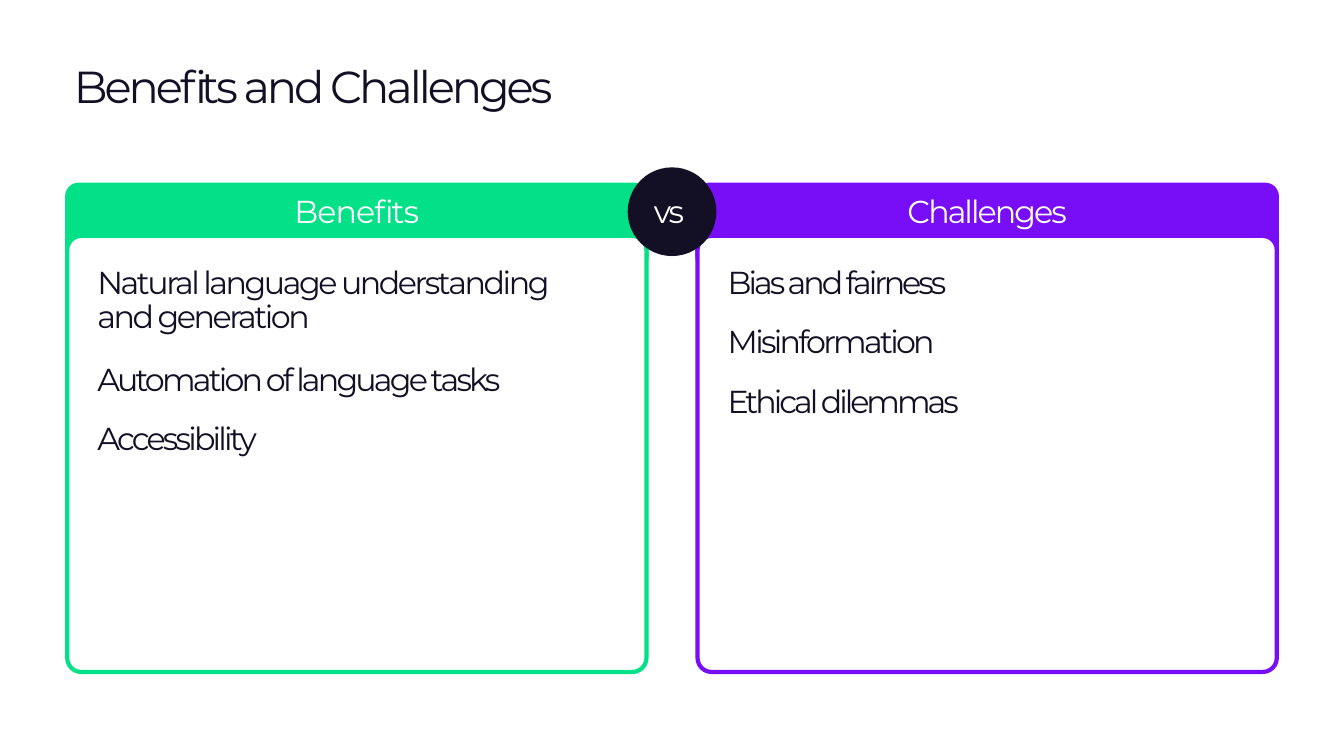
from pptx import Presentation
from pptx.dml.color import RGBColor
from pptx.enum.shapes import MSO_SHAPE as SHAPE
from pptx.enum.text import PP_ALIGN as ALIGN
from pptx.util import Inches, Pt

GREEN = RGBColor(0x02, 0xE0, 0x88)
PURPLE = RGBColor(0x77, 0x0E, 0xF7)
INK = RGBColor(0x13, 0x0F, 0x25)
WHITE = RGBColor(0xFF, 0xFF, 0xFF)

SLIDE_W, SLIDE_H = 20, 11.25
MARGIN = 1
PANEL_W, PANEL_TOP, PANEL_H = 8.62, 2.75, 7.25
HEADER_H, BODY_OFFSET = 1.25, 0.76
PAD = 0.45
BADGE = 1.32

# Each item: text, space before and letter spacing in points
BENEFITS = [
    ("Natural language understanding and generation", 40.5, -2.6),
    ("Automation of language tasks", 31.5, -3),
    ("Accessibility", 28, -3),
]
CHALLENGES = [
    ("Bias and fairness", 40.5, -3.2),
    ("Misinformation", 27.5, -2.9),
    ("Ethical dilemmas", 27.5, -3.2),
]


def add_filled(slide, kind, x, y, w, h, fill, line=None, radius=None):
    s = slide.shapes.add_shape(kind, Inches(x), Inches(y), Inches(w), Inches(h))
    s.shadow.inherit = False
    s.fill.solid()
    s.fill.fore_color.rgb = fill
    if line is None:
        s.line.fill.background()
    else:
        s.line.color.rgb = line
        s.line.width = Pt(4.5)
    if radius is not None:
        s.adjustments[0] = radius / min(w, h)
    return s


def add_text_frame(slide, x, y, w, h):
    tf = slide.shapes.add_textbox(Inches(x), Inches(y), Inches(w), Inches(h)).text_frame
    tf.word_wrap = True
    tf.margin_left = tf.margin_right = tf.margin_bottom = 0
    tf.margin_top = Inches(0.02)
    return tf


def write(p, text, color, spacing, size=34, align=ALIGN.LEFT):
    """Fill a paragraph; spacing is the letter spacing in points."""
    p.text = text
    p.alignment = align
    p.font.name = "Montserrat"
    p.font.size = Pt(size)
    p.font.color.rgb = color
    for r in p.runs:
        r._r.get_or_add_rPr().set("spc", str(round(spacing * 100)))


def add_title(slide, x, y, w, h):
    tf = add_text_frame(slide, x, y, w, h)
    write(tf.paragraphs[0], "Benefits and Challenges", INK, -3.3, size=48)


def add_panel(slide, x, y, w, h, color, heading, heading_spacing, items):
    add_filled(slide, SHAPE.ROUNDED_RECTANGLE, x, y, w, HEADER_H, color, color, 0.17)
    add_filled(slide, SHAPE.ROUNDED_RECTANGLE, x, y + BODY_OFFSET, w, h - BODY_OFFSET,
               WHITE, color, 0.21)

    text_w = w - 3 * PAD
    tf = add_text_frame(slide, x + PAD, y + 0.08, text_w, 3.93)
    p = tf.paragraphs[0]
    write(p, heading, WHITE, heading_spacing, align=ALIGN.CENTER)
    # Indent by the extra right padding so the heading centres on the panel
    p._p.get_or_add_pPr().set("marL", str(Inches(PAD)))
    for text, gap, spacing in items:
        p = tf.add_paragraph()
        write(p, text, INK, spacing)
        p.line_spacing = Pt(36)
        p.space_before = Pt(gap)


def add_badge(slide, cx, cy, size):
    add_filled(slide, SHAPE.OVAL, cx - size / 2, cy - size / 2, size, size, INK)
    tf = add_text_frame(slide, cx - 0.27, cy - 0.31, 0.54, 0.59)
    tf.word_wrap = False
    write(tf.paragraphs[0], "vs", WHITE, -2.2)


def main():
    prs = Presentation()
    prs.slide_width, prs.slide_height = Inches(SLIDE_W), Inches(SLIDE_H)
    slide = prs.slides.add_slide(prs.slide_layouts[6])

    add_title(slide, 1.1, 0.86, 12.82, 0.83)
    add_panel(slide, MARGIN, PANEL_TOP, PANEL_W, PANEL_H,
              GREEN, "Benefits", -1, BENEFITS)
    add_panel(slide, SLIDE_W - MARGIN - PANEL_W, PANEL_TOP, PANEL_W, PANEL_H,
              PURPLE, "Challenges", -2.1, CHALLENGES)
    add_badge(slide, SLIDE_W / 2, PANEL_TOP + 0.4, BADGE)

    prs.save("out.pptx")


if __name__ == "__main__":
    main()
